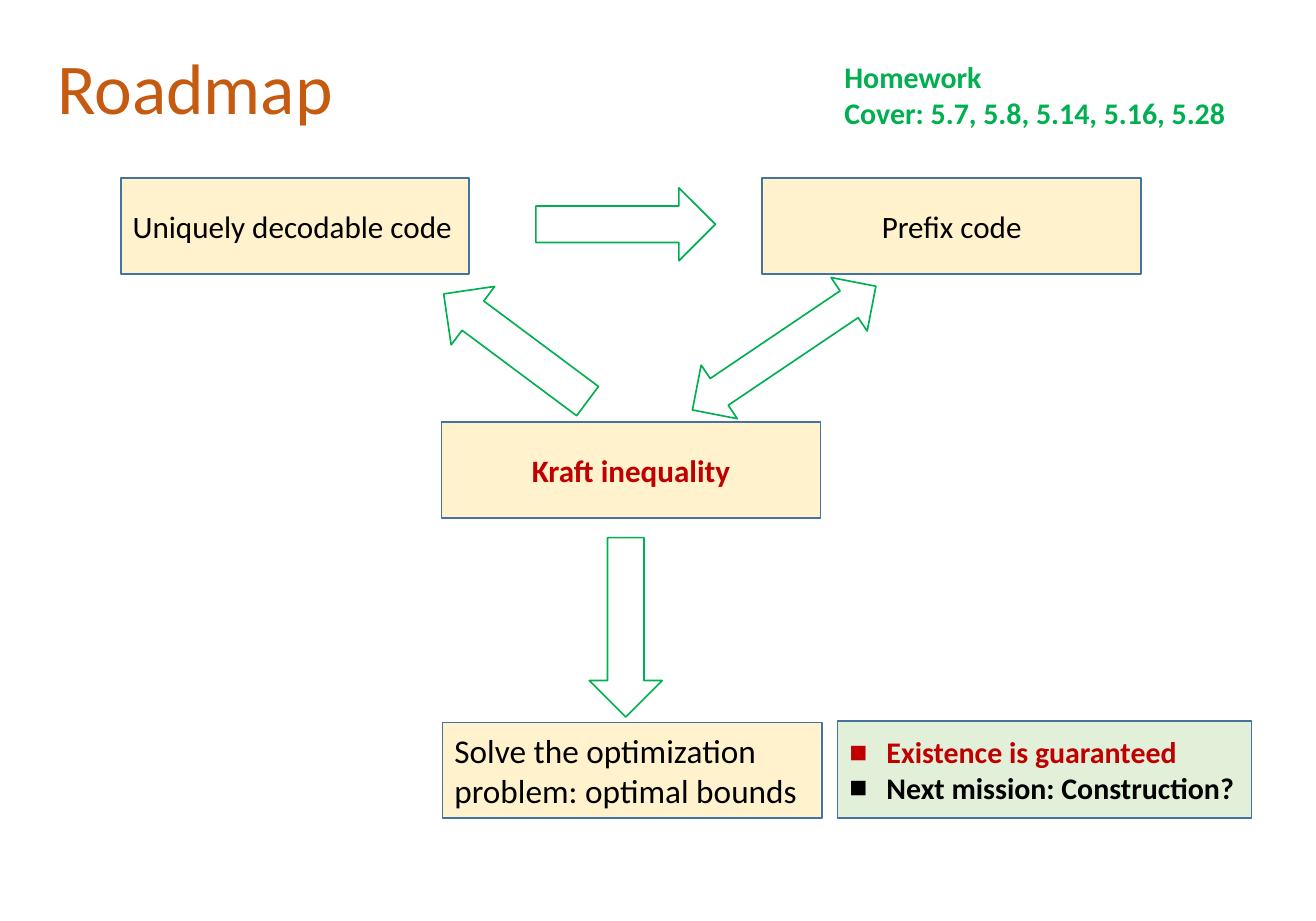
import dataclasses

import pptx
import pptx.dml.color
import pptx.enum.shapes
import pptx.enum.text
import pptx.oxml
import pptx.oxml.ns
import pptx.util

PX = 9144  # EMU per px, 100 px to the inch
ALIGN = pptx.enum.text.PP_ALIGN
ANCHOR = pptx.enum.text.MSO_ANCHOR
SHAPE = pptx.enum.shapes.MSO_SHAPE


@dataclasses.dataclass(frozen=True)
class Theme:
    font: str = "Calibri"
    # Colours
    title: str = "C55A11"
    text: str = "000000"
    accent: str = "C00000"
    green: str = "00B050"
    box_fill: str = "FFF2CC"
    note_fill: str = "E2F0D9"
    box_line: str = "43739E"
    white: str = "FFFFFF"
    # Type sizes and line width, in points
    title_size: float = 43
    box_size: float = 18.7
    result_size: float = 20
    note_size: float = 18
    line_width: float = 1


THEME = Theme()


def px(*lengths):
    return [pptx.util.Emu(length * PX) for length in lengths]


def rgb(code):
    return pptx.dml.color.RGBColor.from_string(code)


def place(shape, *frame):
    shape.left, shape.top, shape.width, shape.height = px(*frame)


def paint(shape, fill, line):
    shape.fill.solid()
    shape.fill.fore_color.rgb = rgb(fill)
    shape.line.color.rgb = rgb(line)
    shape.line.width = pptx.util.Pt(THEME.line_width)


def write(shape, lines, size, bold=False, align=ALIGN.LEFT, anchor=ANCHOR.MIDDLE, bullet=None):
    """Fill a shape with paragraphs given as (text, colour) pairs."""
    frame = shape.text_frame
    frame.word_wrap = True
    frame.auto_size = pptx.enum.text.MSO_AUTO_SIZE.NONE
    frame.vertical_anchor = anchor
    frame.text = "\n".join(text for text, _ in lines)
    for paragraph, (_, color) in zip(frame.paragraphs, lines):
        paragraph.alignment = align
        paragraph.space_before = pptx.util.Pt(0)
        if bullet:
            add_bullet(paragraph, bullet)
        font = paragraph.font
        font.name, font.size, font.bold = THEME.font, pptx.util.Pt(size), bold
        font.color.rgb = rgb(color)


def add_bullet(paragraph, character, indent=31):
    properties = paragraph._p.get_or_add_pPr()
    properties.set("marL", str(indent * PX))
    properties.set("indent", str(-indent * PX))
    namespace = pptx.oxml.ns.nsdecls("a")
    for element in (f'<a:buFont {namespace} typeface="Arial"/>',
                    f'<a:buChar {namespace} char="{character}"/>'):
        properties.append(pptx.oxml.parse_xml(element))


def add_box(slide, frame, text, color=THEME.text, size=THEME.box_size, **style):
    box = slide.shapes.add_shape(SHAPE.RECTANGLE, *px(*frame))
    box.shadow.inherit = False
    paint(box, THEME.box_fill, THEME.box_line)
    write(box, [(text, color)], size, **style)


def add_arrow(slide, frame, rotation=0, kind=SHAPE.RIGHT_ARROW):
    arrow = slide.shapes.add_shape(kind, *px(*frame))
    arrow.shadow.inherit = False
    arrow.rotation = rotation
    paint(arrow, THEME.white, THEME.green)


def main():
    presentation = pptx.Presentation()
    presentation.slide_width, presentation.slide_height = px(1100, 770)
    slide = presentation.slides.add_slide(presentation.slide_layouts[1])
    title, conclusions = slide.placeholders

    # Title
    place(title, 38, 31, 959, 117)
    write(title, [("Roadmap", THEME.title)], THEME.title_size, anchor=ANCHOR.TOP)

    # Concepts
    add_box(slide, (101, 149, 291, 80), "Uniquely decodable code")
    add_box(slide, (637, 149, 317, 80), "Prefix code", align=ALIGN.CENTER)
    add_box(slide, (369, 353, 317, 80), "Kraft inequality", THEME.accent,
            bold=True, align=ALIGN.CENTER)
    add_box(slide, (370, 604, 317, 80), "Solve the optimization problem: optimal bounds",
            size=THEME.result_size)

    # Implications between them
    add_arrow(slide, (448, 157, 150, 61))
    add_arrow(slide, (563, 264, 185, 54), 326, SHAPE.LEFT_RIGHT_ARROW)
    add_arrow(slide, (356, 260, 150, 61), 216.7)
    add_arrow(slide, (448, 494, 150, 61), 90)

    # Conclusions
    place(conclusions, 700, 603, 346, 81)
    paint(conclusions, THEME.note_fill, THEME.box_line)
    write(conclusions, [("Existence is guaranteed", THEME.accent),
                        ("Next mission: Construction?", THEME.text)],
          THEME.note_size, bold=True, bullet="■")

    # Homework
    homework = slide.shapes.add_textbox(*px(696, 44, 354, 71))
    write(homework, [("Homework", THEME.green),
                     ("Cover: 5.7, 5.8, 5.14, 5.16, 5.28", THEME.green)],
          THEME.note_size, bold=True, anchor=ANCHOR.TOP)

    presentation.save("out.pptx")


if __name__ == "__main__":
    main()
